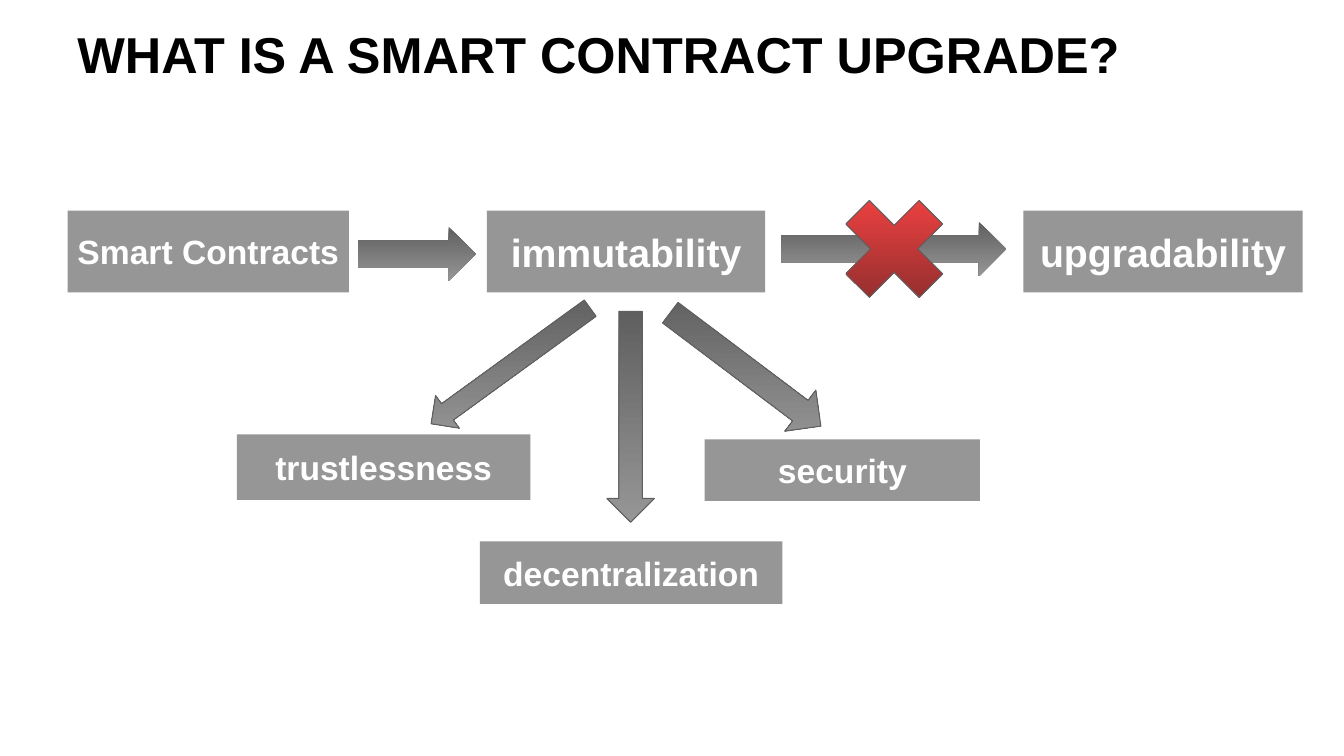
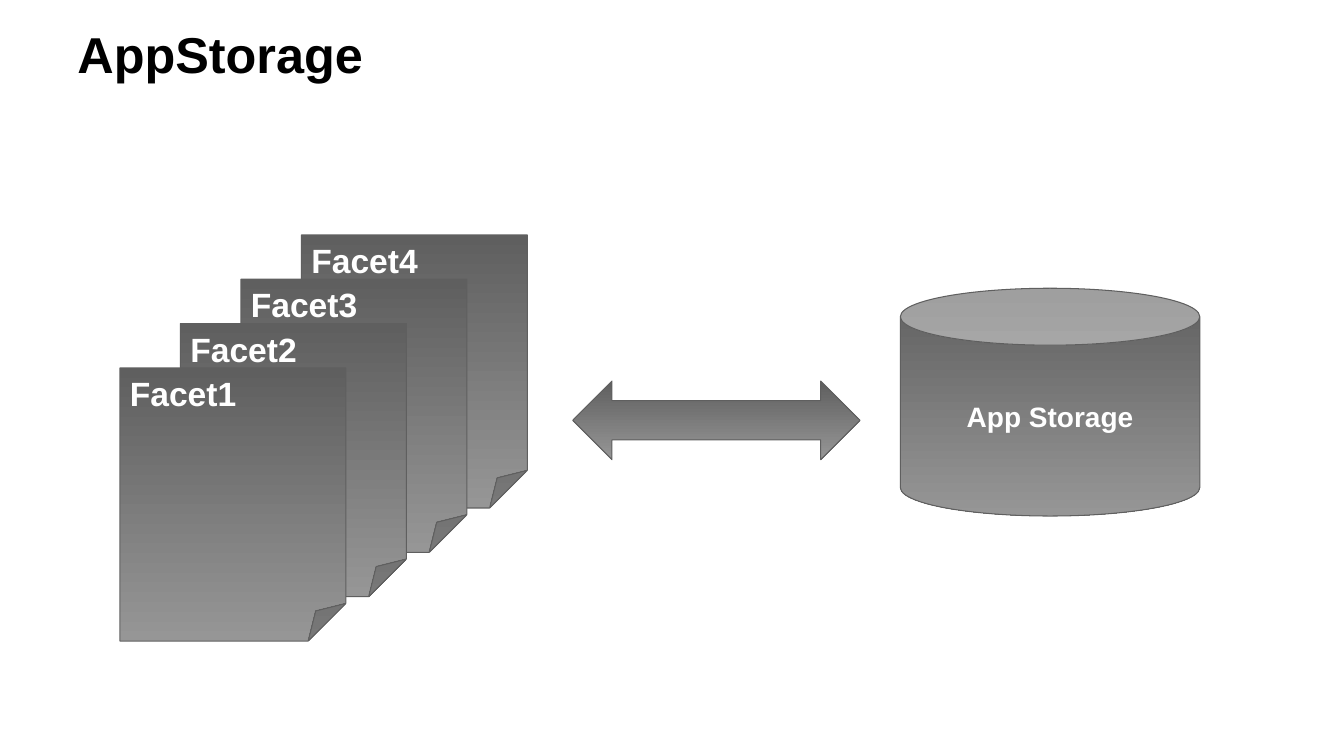
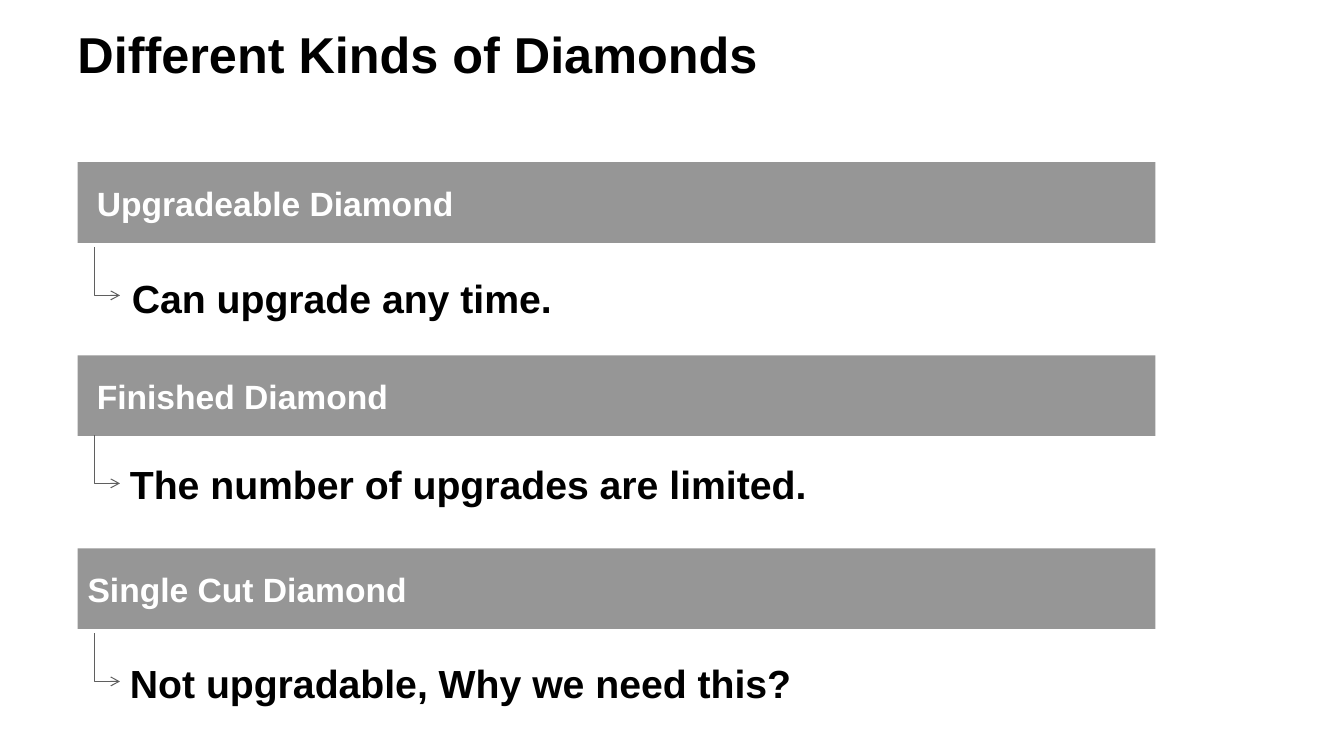
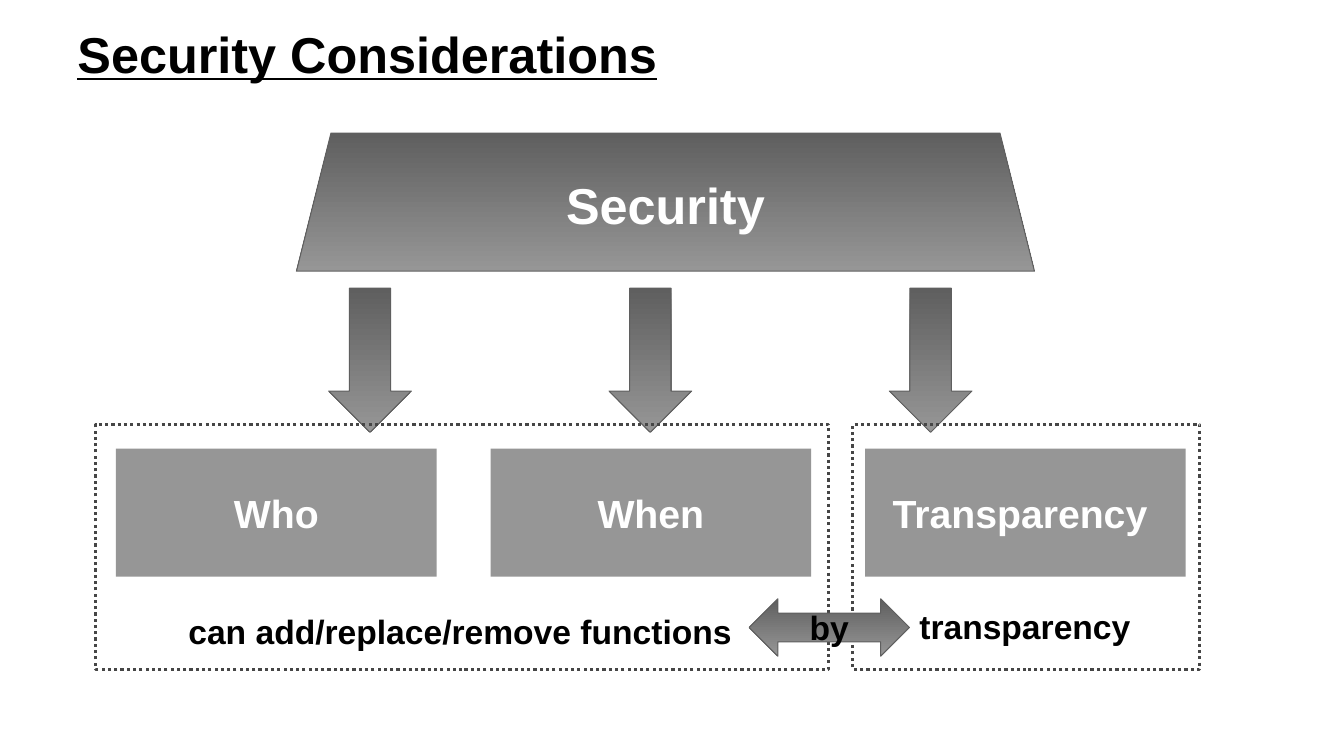
from lxml import etree
from pptx import Presentation
from pptx.dml.color import RGBColor
from pptx.enum import dml, shapes, text
from pptx.oxml import ns
from pptx.util import Inches, Pt

BLACK, WHITE, RED_TOP, RED_BOTTOM = "000000", "FFFFFF", "FE4444", "832B2B"
DARK, GREY, DOTS = "5F5F5F", "969696", "464646"
SHADE = (DARK, GREY)
FONT = "Arial"
KIND = shapes.MSO_SHAPE
LEFT, CENTER = text.PP_ALIGN.LEFT, text.PP_ALIGN.CENTER
TOP, MIDDLE = text.MSO_ANCHOR.TOP, text.MSO_ANCHOR.MIDDLE


def rgb(value):
    return RGBColor.from_string(value)


def inches(*lengths):
    return [Inches(v) for v in lengths]


def write(s, words, size, color=WHITE, align=CENTER, anchor=MIDDLE,
          wrap=False, underline=None, indent=0.1):
    tf = s.text_frame
    frame = {"word_wrap": wrap, "vertical_anchor": anchor,
             "margin_left": Inches(indent)}
    for key, value in frame.items():
        setattr(tf, key, value)
    p = tf.paragraphs[0]
    p.alignment = align
    r = p.add_run()
    r.text = words
    look = {"name": FONT, "size": Pt(size), "bold": True, "underline": underline}
    for key, value in look.items():
        setattr(r.font, key, value)
    r.font.color.rgb = rgb(color)


def add_text(s, box, words, size, **look):
    tb = s.shapes.add_textbox(*inches(*box))
    write(tb, words, size, BLACK, LEFT, wrap=True, **look)


def add_shape(parent, kind, box, fill=SHADE, line=DARK, width=0.75, rotation=0):
    """Add a shape; fill is a colour, a top and bottom colour pair, or None."""
    sp = parent.add_shape(kind, *inches(*box))
    sp.shadow.inherit = False
    sp.rotation = rotation
    if fill is None:
        sp.fill.background()
    elif isinstance(fill, tuple):
        sp.fill.gradient()
        sp.fill.gradient_angle = 270
        for stop, color in zip(sp.fill.gradient_stops, fill):
            stop.color.rgb = rgb(color)
        # The shading stays vertical when the shape is turned
        sp._element.spPr.find(ns.qn("a:gradFill")).set("rotWithShape", "0")
    else:
        sp.fill.solid()
        sp.fill.fore_color.rgb = rgb(fill)
    if line:
        sp.line.color.rgb = rgb(line)
        sp.line.width = Pt(width)
    else:
        sp.line.fill.background()
    return sp


def add_block(s, box, words, size, **look):
    write(add_shape(s.shapes, KIND.RECTANGLE, box, GREY, None), words, size, **look)


def add_elbow(s, x, y, w=0.25, h=0.48):
    """Arrow that runs down from x, y and then turns right."""
    left, top = x + (w - h) / 2, y + (h - w) / 2
    c = s.shapes.add_connector(shapes.MSO_CONNECTOR.ELBOW,
                               *inches(left, top + w, left + h, top))
    c.line.color.rgb = rgb(DARK)
    c.line.width = Pt(0.75)
    spPr = c._element.spPr
    spPr.find(ns.qn("a:xfrm")).set("rot", "5400000")
    spPr.find(ns.qn("a:prstGeom")).set("prst", "bentConnector2")
    etree.SubElement(spPr.find(ns.qn("a:ln")), ns.qn("a:tailEnd"), type="arrow")
    etree.SubElement(spPr, ns.qn("a:effectLst"))


def new_slide(prs, title, underline=None):
    s = prs.slides.add_slide(prs.slide_layouts[6])
    add_text(s, (0.67, 0.21, 12, 0.64), title, 36, underline=underline)
    return s


def upgrade_slide(prs):
    s = new_slide(prs, "WHAT IS A SMART CONTRACT UPGRADE?")
    for x, w, words, size in ((0.67, 2.79, "Smart Contracts", 24),
                              (4.83, 2.76, "immutability", 28),
                              (10.15, 2.77, "upgradability", 28)):
        add_block(s, (x, 2.09, w, 0.81), words, size)
    for box in ((3.55, 2.25, 1.17, 0.54), (7.75, 2.2, 2.23, 0.54)):
        add_shape(s.shapes, KIND.RIGHT_ARROW, box, line=None)
    for kind, box, turn in ((KIND.RIGHT_ARROW, (4.09, 3.43, 1.95, 0.4), 144),
                            (KIND.RIGHT_ARROW, (6.46, 3.41, 1.87, 0.51), 37),
                            (KIND.DOWN_ARROW, (6.02, 3.09, 0.47, 2.09), 0)):
        add_shape(s.shapes, kind, box, rotation=turn)
    for box, words in (((2.35, 4.31, 2.91, 0.65), "trustlessness"),
                       ((4.76, 5.37, 3, 0.62), "decentralization"),
                       ((6.99, 4.36, 2.73, 0.61), "security")):
        add_block(s, box, words, 24)
    add_shape(s.shapes, KIND.MATH_MULTIPLY, (8.17, 1.77, 1.4, 1.4),
              (RED_TOP, RED_BOTTOM))


def facet_stack(s, x, y, count=4, dx=0.6, dy=0.44):
    """Overlapping sheets; x, y is the corner of the front one."""
    group = s.shapes.add_group_shape()
    for i in reversed(range(count)):
        sheet = add_shape(group.shapes, KIND.FOLDED_CORNER,
                          (x + i * dx, y - i * dy, 2.24, 2.71))
        write(sheet, f"Facet{i + 1}", 24, align=LEFT, anchor=TOP, wrap=True)


def storage_slide(prs):
    s = new_slide(prs, "AppStorage")
    facet_stack(s, 1.19, 3.65)
    store = add_shape(s.shapes, KIND.CAN, (8.93, 2.86, 2.97, 2.26))
    write(store, "App Storage", 20)
    add_shape(s.shapes, KIND.LEFT_RIGHT_ARROW, (5.68, 3.78, 2.85, 0.78))


def diamond_kind(s, x, y, name, note, indent, elbow_y, note_x, note_y):
    """Bar with an arrow to a note; the last three are offsets from x, y."""
    add_block(s, (x, y, 10.69, 0.8), name, 24, align=LEFT, wrap=True, indent=indent)
    add_elbow(s, x + 0.17, y + elbow_y)
    add_text(s, (x + note_x, y + note_y, 10.81, 0.81), note, 28)


def diamonds_slide(prs):
    s = new_slide(prs, "Different Kinds of Diamonds")
    kinds = (
        ("Upgradeable Diamond", "Can upgrade any time.", 0.19, 0.84, 0.44, 0.94),
        ("Finished Diamond", "The number of upgrades are limited.",
         0.19, 0.79, 0.42, 0.87),
        ("Single Cut Diamond", "Not upgradable, Why we need this?",
         0.1, 0.84, 0.42, 0.93),
    )
    for i, kind in enumerate(kinds):
        diamond_kind(s, 0.77, 1.61 + i * 1.915, *kind)


def security_slide(prs):
    s = new_slide(prs, "Security Considerations", underline=True)
    roof = add_shape(s.shapes, KIND.TRAPEZOID, (2.94, 1.32, 7.32, 1.37))
    write(roof, "Security", 36)
    for i, words in enumerate(("Who", "When", "Transparency ")):
        add_block(s, (1.15 + i * 3.715, 4.45, 3.18, 1.27), words, 28)
        add_shape(s.shapes, KIND.DOWN_ARROW, (3.26 + i * 2.78, 2.86, 0.82, 1.43))
    for x, w in ((0.95, 7.27), (8.46, 3.44)):
        frame = add_shape(s.shapes, KIND.RECTANGLE, (x, 4.21, w, 2.43),
                          None, DOTS, 2.25)
        frame.line.dash_style = dml.MSO_LINE.ROUND_DOT
    add_text(s, (1.77, 5.88, 5.7, 0.76), "can add/replace/remove functions", 24)
    add_text(s, (9.02, 5.83, 2.4, 0.76), "transparency", 24)
    link = add_shape(s.shapes, KIND.LEFT_RIGHT_ARROW, (7.43, 5.94, 1.59, 0.57))
    write(link, "by", 24, BLACK)


def main():
    prs = Presentation()
    prs.slide_width, prs.slide_height = inches(13.33, 7.5)
    for build in (upgrade_slide, storage_slide, diamonds_slide, security_slide):
        build(prs)
    prs.save("out.pptx")


if __name__ == "__main__":
    main()
